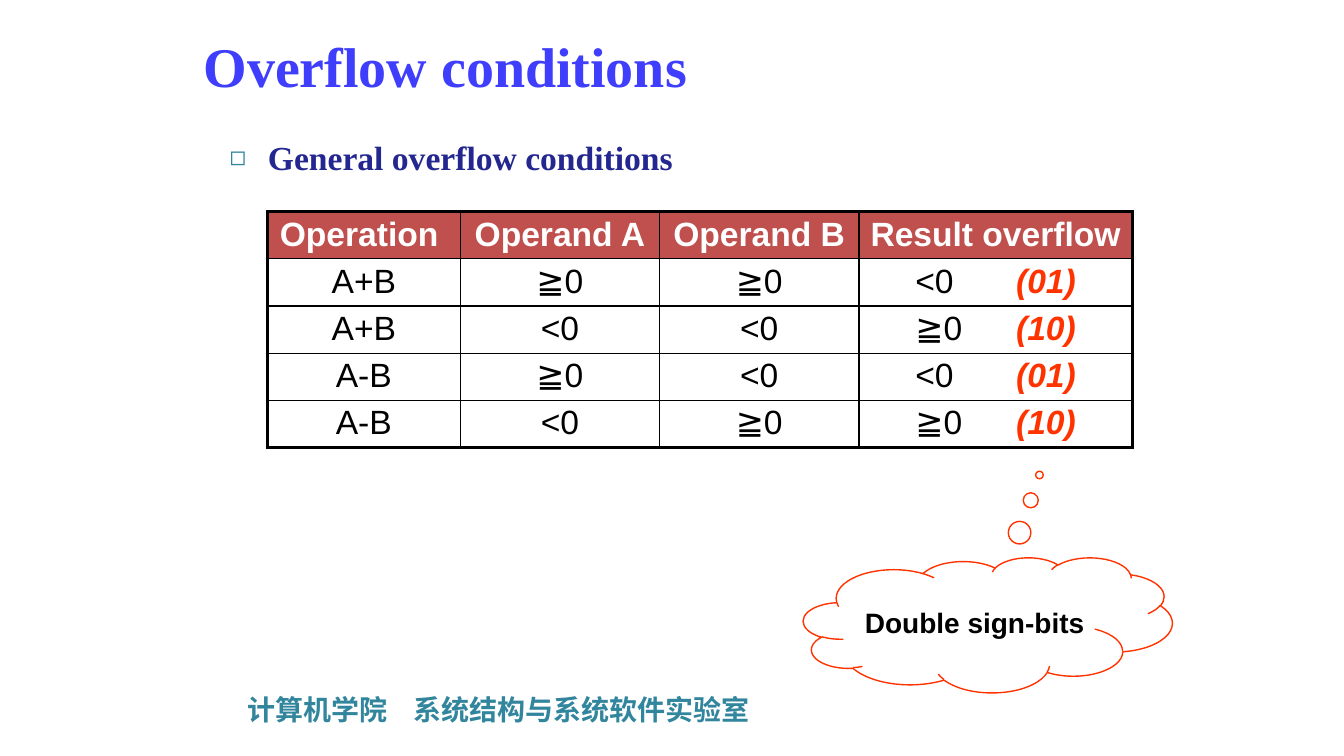
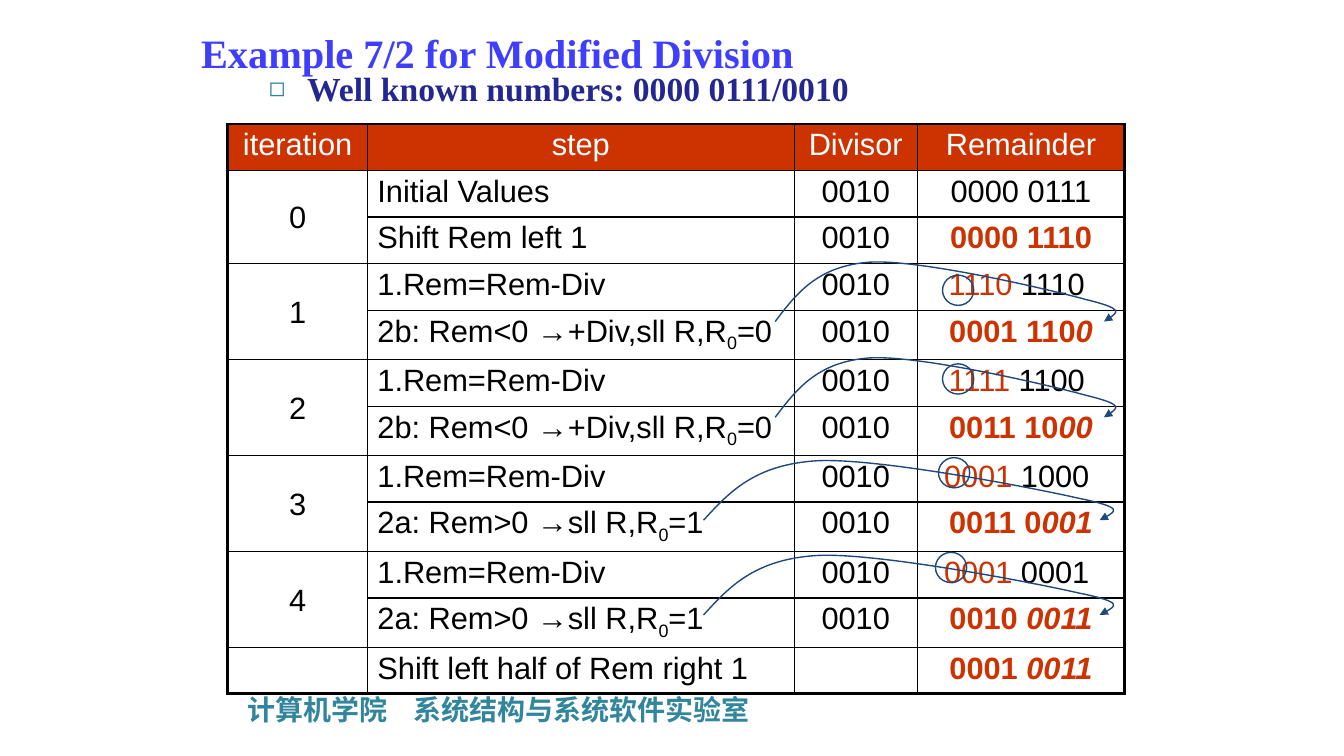
import pptx
import pptx.dml.color
import pptx.enum.shapes
import pptx.enum.text
import pptx.oxml
import pptx.oxml.ns
import pptx.util
from lxml import etree

GRID = 0.1
SLIDE_COLUMNS, SLIDE_ROWS = 133.33, 75
SANS, SERIF, CJK = "Arial", "Times New Roman", "Noto Sans CJK SC"
BLACK, WHITE = "000000", "FFFFFF"
TITLE_BLUE, POINT_BLUE, TEAL, NAVY = "3E3EFC", "242790", "31859C", "1F497D"
HEADER_BRICK, HEADER_RED, BRIGHT_RED = "C0504D", "CC3300", "FF3300"
ALIGN = pptx.enum.text.PP_ALIGN
ANCHOR = pptx.enum.text.MSO_ANCHOR
SHAPE = pptx.enum.shapes.MSO_SHAPE

RED = {"color": HEADER_RED}
STRONG = {"color": HEADER_RED, "bold": True}
STRONG_ITALIC = {"color": HEADER_RED, "bold": True, "italic": True}
SIGN_BITS = {"color": BRIGHT_RED, "bold": True, "italic": True}
SUBSCRIPT = {"baseline": -25000}

OVERFLOW_HEADER = ["Operation ", "Operand A", "Operand B", "Result overflow"]
OVERFLOW_CASES = [
    ("A+B", "≧0", "≧0", "<0", "(01)"),
    ("A+B", "<0", "<0", "≧0", "(10)"),
    ("A-B", "≧0", "<0", "<0", "(01)"),
    ("A-B", "<0", "≧0", "≧0", "(10)"),
]
DIVISION_HEADER = ["iteration", "step", "Divisor", "Remainder"]
RESTORE = [("2b: Rem<0 →+Div,sll R,R", {}), ("0", SUBSCRIPT), ("=0", {})]
SHIFT = [("2a: Rem>0 →sll R,R", {}), ("0", SUBSCRIPT), ("=1", {})]
ITERATIONS = [
    ("1110", " 1110 ", RESTORE, "0001 110", "0"),
    ("1111", " 1100 ", RESTORE, "0011 10", "00"),
    ("0001", " 1000 ", SHIFT, "0011 0", "001"),
    ("0001", " 0001 ", SHIFT, "0010 ", "0011"),
]
PLAIN_ROW, SUBSCRIPT_ROW = 4.62, 4.9
SIGN_CIRCLES = [(70.9, 15), (70.9, 23.8), (70.5, 33.1), (70.2, 42.5)]
ARROWS = [(54.3, 13.4), (54.3, 22.9), (47.2, 33.1), (47.2, 42.5)]
ARROW_RIGHT, ARROW_HEIGHT = 89, 6.2
ARROW_TRACK = [
    (0, 1), (0.06, 0.56), (0.12, 0.11), (0.27, 0.05), (0.41, 0),
    (0.78, 0.48), (0.89, 0.65), (1, 0.8), (0.97, 0.9), (0.94, 1),
]


def cells(count):
    """Turn grid cells into a length."""
    return pptx.util.Inches(count * GRID)


def place(box):
    """Turn a box in grid cells into lengths."""
    return [cells(part) for part in box]


def rgb(value):
    """Turn a hex string into a colour."""
    return pptx.dml.color.RGBColor.from_string(value)


def add_xml(parent, tag, **attributes):
    """Append a drawing element to a parent."""
    return etree.SubElement(parent, pptx.oxml.ns.qn("a:" + tag), attributes)


def write(frame, text, size=20, font=SANS, color=BLACK, bold=False, italic=False,
          align=ALIGN.LEFT, anchor=ANCHOR.TOP, bullet=None, tab=None, asian=None):
    """Fill a frame with one paragraph made of a string or of formatted runs."""
    frame.word_wrap = True
    frame.vertical_anchor = anchor
    paragraph = frame.paragraphs[0]
    paragraph.alignment = align
    properties = paragraph._p.get_or_add_pPr()
    if bullet:
        properties.set("marL", str(cells(3.8)))
        properties.set("indent", str(-cells(3.8)))
        add_xml(add_xml(properties, "buClr"), "srgbClr", val=TEAL)
        add_xml(properties, "buSzPct", val="80000")
        add_xml(properties, "buFont", typeface=SANS)
        add_xml(properties, "buChar", char=bullet)
    if tab:
        add_xml(add_xml(properties, "tabLst"), "tab", pos=str(cells(tab)), algn="l")
    for words, changes in [(text, {})] if isinstance(text, str) else text:
        run = paragraph.add_run()
        run.text = words
        run.font.size = pptx.util.Pt(size)
        run.font.name = font
        run.font.bold = changes.get("bold", bold)
        run.font.italic = changes.get("italic", italic)
        run.font.color.rgb = rgb(changes.get("color", color))
        if "baseline" in changes:
            run._r.get_or_add_rPr().set("baseline", str(changes["baseline"]))
        if asian:
            add_xml(run._r.get_or_add_rPr(), "ea", typeface=asian)


def add_footer(slide, layout):
    """Put the laboratory name on the layout that the slides share."""
    footer = slide.shapes.add_textbox(*place((23.6, 68.2, 96.6, 4.4)))
    write(footer.text_frame, "计算机学院\t系统结构与系统软件实验室", font=CJK,
          color=TEAL, bold=True, tab=16.4, asian=CJK)
    layout.shapes.element.append(footer.element)


def add_heading(slide, title, title_box, title_size, point, point_box):
    """Set the slide title and the bulleted point below it."""
    heading = slide.shapes.title
    heading.left, heading.top, heading.width, heading.height = place(title_box)
    write(heading.text_frame, title, size=title_size, font=SERIF, color=TITLE_BLUE,
          bold=True, anchor=ANCHOR.MIDDLE)
    body = slide.shapes.add_textbox(*place(point_box))
    write(body.text_frame, point, size=24, font=SERIF, color=POINT_BLUE,
          bold=True, bullet="◻")


def add_borders(cell, outer_sides):
    """Draw thick borders on the outer sides of a cell and thin ones elsewhere."""
    properties = cell._tc.get_or_add_tcPr()
    for index, side in enumerate("LRTB"):
        width = pptx.util.Pt(2.25 if side in outer_sides else 1)
        line = add_xml(properties, "ln" + side, w=str(width))
        add_xml(add_xml(line, "solidFill"), "srgbClr", val=BLACK)
        properties.insert(index, line)


def add_grid_table(slide, rows, left, top, widths, heights, size, header_fill,
                   header_bold=False, left_columns=(), tab=None):
    """Build a framed table with a coloured header row."""
    box = (left, top, sum(widths), sum(heights))
    table = slide.shapes.add_table(len(rows), len(widths), *place(box)).table
    table.first_row = table.horz_banding = False
    for column, width in zip(table.columns, widths):
        column.width = cells(width)
    for r, row in enumerate(rows):
        table.rows[r].height = cells(heights[r])
        for c, text in enumerate(row):
            cell = table.cell(r, c)
            cell.margin_top, cell.margin_bottom = cells(0.4), cells(0.2)
            header = r == 0
            cell.fill.solid()
            cell.fill.fore_color.rgb = rgb(header_fill if header else WHITE)
            outer = {"L": c == 0, "R": c == len(widths) - 1,
                     "T": header, "B": r == len(rows) - 1}
            add_borders(cell, [side for side in outer if outer[side]])
            if text:
                centred = header or c not in left_columns
                write(cell.text_frame, text, size=size, tab=tab,
                      color=WHITE if header else BLACK, bold=header and header_bold,
                      align=ALIGN.CENTER if centred else ALIGN.LEFT)
    return table


def outline(shape, color):
    """Leave a shape hollow with a thin line."""
    shape.shadow.inherit = False
    shape.fill.background()
    shape.line.color.rgb = rgb(color)
    shape.line.width = pptx.util.Pt(1)


def add_thought(slide, box, text):
    """Draw a cloud that points up at the sign bits."""
    cloud = slide.shapes.add_shape(SHAPE.CLOUD_CALLOUT, *place(box))
    cloud.adjustments[0], cloud.adjustments[1] = 0.14, -1.11
    outline(cloud, BRIGHT_RED)
    write(cloud.text_frame, text, bold=True, align=ALIGN.CENTER, anchor=ANCHOR.MIDDLE)


def bend(freeform):
    """Turn each three line segments of a freeform into one cubic curve."""
    segments = list(freeform.element.iter(pptx.oxml.ns.qn("a:lnTo")))
    for first in range(0, len(segments), 3):
        curve = add_xml(segments[first].getparent(), "cubicBezTo")
        for segment in segments[first:first + 3]:
            curve.append(segment[0])
            segment.getparent().remove(segment)


def add_curved_arrow(slide, left, top, width, height):
    """Draw a curved arrow from a step to the bit it sets."""
    points = [(cells(left + x * width), cells(top + y * height))
              for x, y in ARROW_TRACK]
    builder = slide.shapes.build_freeform(*points[0])
    builder.add_line_segments(points[1:], close=False)
    arrow = builder.convert_to_shape()
    bend(arrow)
    outline(arrow, NAVY)
    add_xml(arrow.line._get_or_add_ln(), "tailEnd", type="triangle")


def add_marks(slide, left, top):
    """Circle the sign bits and draw the arrows over the division table."""
    for x, y in SIGN_CIRCLES:
        circle = slide.shapes.add_shape(SHAPE.OVAL, *place((left + x, top + y, 3.1, 3)))
        outline(circle, NAVY)
    for x, y in ARROWS:
        add_curved_arrow(slide, left + x, top + y, ARROW_RIGHT - x, ARROW_HEIGHT)


def division_rows():
    """List the table rows of the worked division."""
    rows = [DIVISION_HEADER,
            ["0", "Initial Values", "0010", "0000 0111"],
            ["", "Shift Rem left 1", "0010", [("0000 1110", STRONG)]]]
    for number, (high, low, step, kept, shifted) in enumerate(ITERATIONS, 1):
        rows.append([str(number), "1.Rem=Rem-Div", "0010", [(high, RED), (low, {})]])
        rows.append(["", step, "0010", [(kept, STRONG), (shifted, STRONG_ITALIC)]])
    rows.append(["", "Shift left half of Rem right 1", "",
                 [("0001 ", STRONG), ("0011", STRONG_ITALIC)]])
    return rows


def build_overflow(slide):
    """Build the slide on overflow conditions."""
    add_heading(slide, "Overflow conditions", (19.2, 1.25, 86.1, 10.5), 40,
                "General overflow conditions", (21.8, 13.1, 90, 5))
    rows = [OVERFLOW_HEADER] + [
        [*operands, [(result + "\t", {}), (bits, SIGN_BITS)]]
        for *operands, result, bits in OVERFLOW_CASES]
    add_grid_table(slide, rows, 26.52, 21, (19.15, 19.75, 19.8, 27.1),
                   [4.68] * len(rows), 24, HEADER_BRICK, header_bold=True, tab=10)
    add_thought(slide, (79.7, 55.3, 36.6, 13.4), "Double sign-bits")


def build_division(slide):
    """Build the slide with the worked division."""
    add_heading(slide, "Example 7/2 for Modified Division", (18.95, 2, 93.4, 6.3), 28.8,
                "Well known numbers: 0000 0111/0010", (25.7, 6.25, 93.4, 5))
    left, top = 22.6, 12.3
    heights = ([PLAIN_ROW] * 3 + [PLAIN_ROW, SUBSCRIPT_ROW] * len(ITERATIONS)
               + [PLAIN_ROW])
    table = add_grid_table(slide, division_rows(), left, top, (13.85, 42.35, 12.2, 20.6),
                           heights, 22, HEADER_RED, left_columns=(1,))
    for first in range(1, 2 * len(ITERATIONS) + 2, 2):
        number = table.cell(first, 0)
        number.merge(table.cell(first + 1, 0))
        number.vertical_anchor = ANCHOR.MIDDLE
    add_marks(slide, left, top)


def main():
    """Build and save the presentation."""
    deck = pptx.Presentation()
    deck.slide_width, deck.slide_height = cells(SLIDE_COLUMNS), cells(SLIDE_ROWS)
    layout = deck.slide_layouts.get_by_name("Title Only")
    overflow, division = (deck.slides.add_slide(layout) for _ in range(2))
    add_footer(overflow, layout)
    build_overflow(overflow)
    build_division(division)
    deck.save("out.pptx")


if __name__ == "__main__":
    main()
